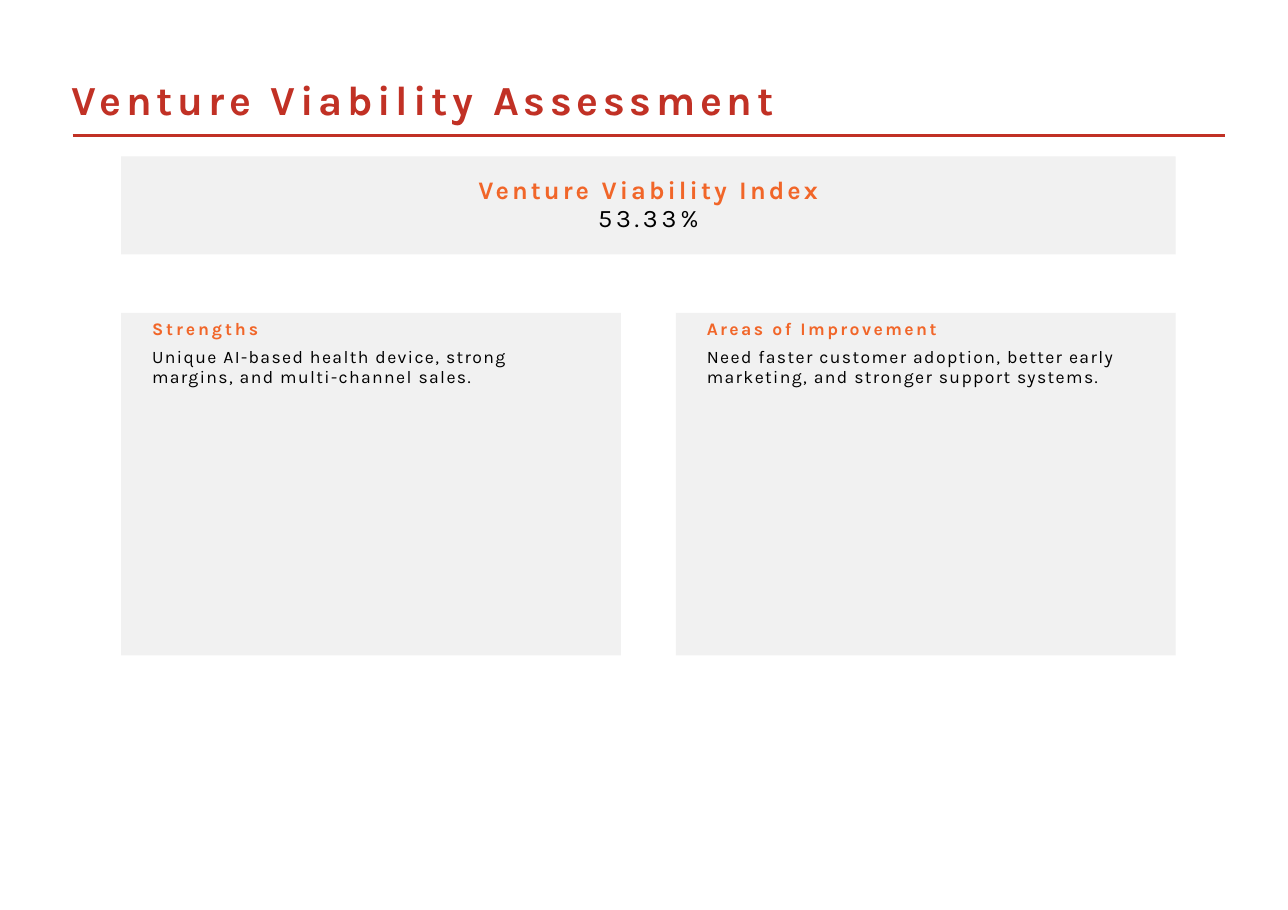
import pptx
import pptx.dml.color
import pptx.enum.shapes
import pptx.enum.text
import pptx.util
import lxml.etree

Inches = pptx.util.Inches
Pt = pptx.util.Pt
ALIGN = pptx.enum.text.PP_ALIGN

COLORS = {"title": "C13125", "heading": "F16629", "panel": "F1F1F1", "body": "000000"}
FONT = "Karla"


def rgb(name):
    return pptx.dml.color.RGBColor.from_string(COLORS[name])


def add_text(p, text, size=11.5, color="body", bold=False, spacing=0.9,
             align=ALIGN.LEFT, line=None, before=None, indent=0):
    pPr = p._p.get_or_add_pPr()
    pPr.set("marL", str(Inches(indent)))
    pPr.set("indent", "0")
    p.alignment = align
    if line:
        p.line_spacing = Pt(line)
    if before:
        p.space_before = Pt(before)
    r = p.add_run()
    r.text = text
    r.font.name = FONT
    r.font.size = Pt(size)
    r.font.bold = bold
    r.font.color.rgb = rgb(color)
    r._r.get_or_add_rPr().set("spc", str(round(spacing * 100)))


def set_frame(sp, top, right=0):
    tf = sp.text_frame
    tf.word_wrap = True
    tf.vertical_anchor = pptx.enum.text.MSO_ANCHOR.TOP
    tf.margin_left = tf.margin_bottom = 0
    tf.margin_top = Inches(top)
    tf.margin_right = Inches(right)
    return tf


def add_panel(s, x, y, w, h, top, right=0):
    sp = s.shapes.add_shape(pptx.enum.shapes.MSO_SHAPE.RECTANGLE,
                            Inches(x), Inches(y), Inches(w), Inches(h))
    sp.shadow.inherit = False
    sp.fill.solid()
    sp.fill.fore_color.rgb = rgb("panel")
    sp.line.fill.background()
    return set_frame(sp, top, right)


def add_title(s, x, y, w, h, text):
    sp = s.shapes.add_textbox(Inches(x), Inches(y), Inches(w), Inches(h))
    tf = set_frame(sp, 0.01)
    add_text(tf.paragraphs[0], text, size=27, color="title", bold=True,
             spacing=3.08, indent=0.01)
    rule_y = Inches(y + h + 0.09)
    rule = s.shapes.add_connector(pptx.enum.shapes.MSO_CONNECTOR.STRAIGHT,
                                  Inches(x + 0.02), rule_y, Inches(x + w), rule_y)
    rule.line.color.rgb = rgb("title")
    rule.line.width = Pt(1.5)
    lxml.etree.SubElement(rule._element.spPr, pptx.oxml.ns.qn("a:effectLst"))


def add_index(s, x, y, w, h, label, value):
    tf = add_panel(s, x, y, w, h, top=0.17)
    style = dict(size=16.5, align=ALIGN.CENTER, line=18.9)
    add_text(tf.paragraphs[0], label, color="heading", bold=True, spacing=2.03, **style)
    add_text(tf.add_paragraph(), value, spacing=2.5, **style)


def add_finding(s, x, y, w, h, heading, body, spacing):
    tf = add_panel(s, x, y, w, h, top=0.05, right=0.4)
    add_text(tf.paragraphs[0], heading, color="heading", bold=True,
             spacing=spacing, indent=0.28)
    add_text(tf.add_paragraph(), body, line=12.8, before=5.4, indent=0.28)


def main():
    prs = pptx.Presentation()
    prs.slide_width = Inches(11.69)
    prs.slide_height = Inches(8.26)
    s = prs.slides.add_slide(prs.slide_layouts[6])

    left, width, gap = 1.1, 9.57, 0.5
    add_title(s, 0.64, 0.66, 10.48, 0.48, "Venture Viability Assessment")
    add_index(s, left, 1.42, width, 0.89, "Venture Viability Index", "53.33%")

    findings = [
        ("Strengths",
         "Unique AI-based health device, strong margins, and multi-channel sales.", 1.9),
        ("Areas of Improvement",
         "Need faster customer adoption, better early marketing, "
         "and stronger support systems.", 1.56),
    ]
    col_w = (width - gap) / len(findings)
    for i, (heading, body, spacing) in enumerate(findings):
        add_finding(s, left + i * (col_w + gap), 2.84, col_w, 3.11, heading, body, spacing)

    prs.save("out.pptx")


if __name__ == "__main__":
    main()
